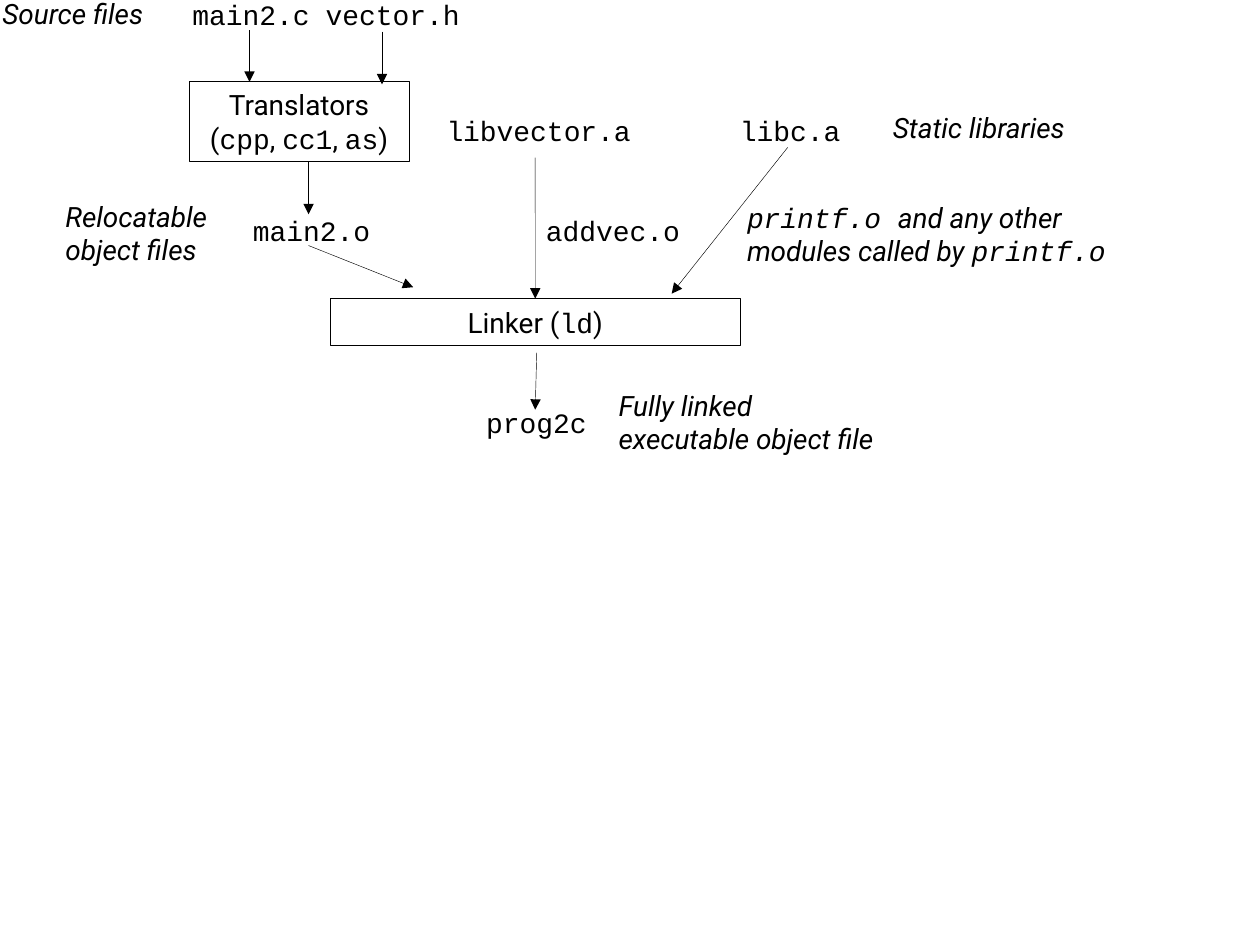
from dataclasses import dataclass

from lxml import etree
from pptx import Presentation
from pptx import util as u
from pptx.dml.color import RGBColor
from pptx.enum import shapes, text
from pptx.oxml.ns import qn


@dataclass(frozen=True)
class Theme:
    sans: str = "Roboto"
    mono: str = "Courier New"
    size: u.Length = u.Pt(16)
    ink: RGBColor = RGBColor(0, 0, 0)
    paper: RGBColor = RGBColor(255, 255, 255)
    line: u.Length = u.Pt(0.25)
    heights: tuple = (0.94, 1.63)  # cm, for one and two lines of text


class Diagram:
    """Holds the theme and the current slide."""

    def __init__(self, slide, theme):
        self.s, self.theme = slide, theme

    def frame(self, left, top, width, lines):
        height = self.theme.heights[len(lines) - 1]
        return [u.Cm(v) for v in (left, top, width, height)]

    def add_lines(self, sp, lines, align, italic=False, wrap=False):
        """Fill a shape with lines in which `backticks` mark code."""
        tf = sp.text_frame
        tf.word_wrap = wrap
        tf.auto_size = text.MSO_AUTO_SIZE.SHAPE_TO_FIT_TEXT
        for i, line in enumerate(lines):
            p = tf.add_paragraph() if i else tf.paragraphs[0]
            p.alignment = align
            for j, part in enumerate(line.split("`")):
                if not part:
                    continue
                r = p.add_run()
                r.text = part
                r.font.name = self.theme.mono if j % 2 else self.theme.sans
                r.font.size = self.theme.size
                r.font.italic = italic
                r.font.color.rgb = self.theme.ink

    def box(self, left, top, width, *lines):
        sp = self.s.shapes.add_shape(shapes.MSO_SHAPE.RECTANGLE,
                                     *self.frame(left, top, width, lines))
        sp.shadow.inherit = False
        sp.fill.solid()
        sp.fill.fore_color.rgb = self.theme.paper
        sp.line.color.rgb = self.theme.ink
        sp.line.width = self.theme.line
        self.add_lines(sp, lines, text.PP_ALIGN.CENTER, wrap=True)
        return sp

    def file_label(self, left, top, width, name):
        sp = self.s.shapes.add_textbox(*self.frame(left, top, width, [name]))
        self.add_lines(sp, [f"`{name}`"], text.PP_ALIGN.CENTER)

    def note(self, left, top, width, *lines):
        sp = self.s.shapes.add_textbox(*self.frame(left, top, width, lines))
        self.add_lines(sp, lines, text.PP_ALIGN.LEFT, italic=True)

    def arrow(self, x1, y1, x2, y2):
        c = self.s.shapes.add_connector(shapes.MSO_CONNECTOR.STRAIGHT,
                                        *[u.Cm(v) for v in (x1, y1, x2, y2)])
        c.line.color.rgb = self.theme.ink
        c.line.width = self.theme.line
        props = c._element.spPr
        etree.SubElement(props.find(qn("a:ln")), qn("a:tailEnd"), type="triangle")
        etree.SubElement(props, qn("a:effectLst"))
        return c


def main():
    prs = Presentation()
    prs.slide_width, prs.slide_height = u.Cm(25.4), u.Cm(19.05)
    d = Diagram(prs.slides.add_slide(prs.slide_layouts[6]), Theme())

    d.box(3.81, 1.63, 4.44, "Translators", "(`cpp`, `cc1`, `as`)")
    linker = d.box(6.66, 6.02, 8.26, "Linker (`ld`)")

    source_y, library_y, object_y = -0.18, 2.16, 4.19
    for left, top, width, name in [
        (3.61, source_y, 2.9, "main2.c"),
        (6.3, source_y, 3.23, "vector.h"),
        (8.74, library_y, 4.24, "libvector.a"),
        (14.66, library_y, 2.54, "libc.a"),
        (4.83, object_y, 2.9, "main2.o"),
        (10.74, object_y, 3.23, "addvec.o"),
        (9.53, 8.05, 2.57, "prog2c"),
    ]:
        d.file_label(left, top, width, name)

    d.note(-0.2, -0.2, 3.45, "Source files")
    d.note(17.75, 2.11, 4.06, "Static libraries")
    d.note(1.07, 3.89, 3.48, "Relocatable", "object files")
    d.note(14.81, 3.91, 8.23, "`printf.o `and any other",
           "modules called by `printf.o`")
    d.note(12.22, 7.7, 5.77, "Fully linked", "executable object file")

    for ends in [
        (5.03, 0.61, 5.03, 1.65),    # main2.c to translators
        (7.7, 0.64, 7.7, 1.7),       # vector.h to translators
        (6.22, 3.25, 6.22, 4.32),    # translators to main2.o
        (6.22, 4.95, 8.33, 5.79),    # main2.o to linker
        (15.88, 2.97, 13.54, 5.92),  # libc.a to linker
        (10.82, 7.11, 10.79, 8.26),  # linker to prog2c
    ]:
        d.arrow(*ends)
    # libvector.a to linker
    d.arrow(10.79, 3.18, 10.79, 6.02).end_connect(linker, 0)

    prs.save("out.pptx")


if __name__ == "__main__":
    main()
